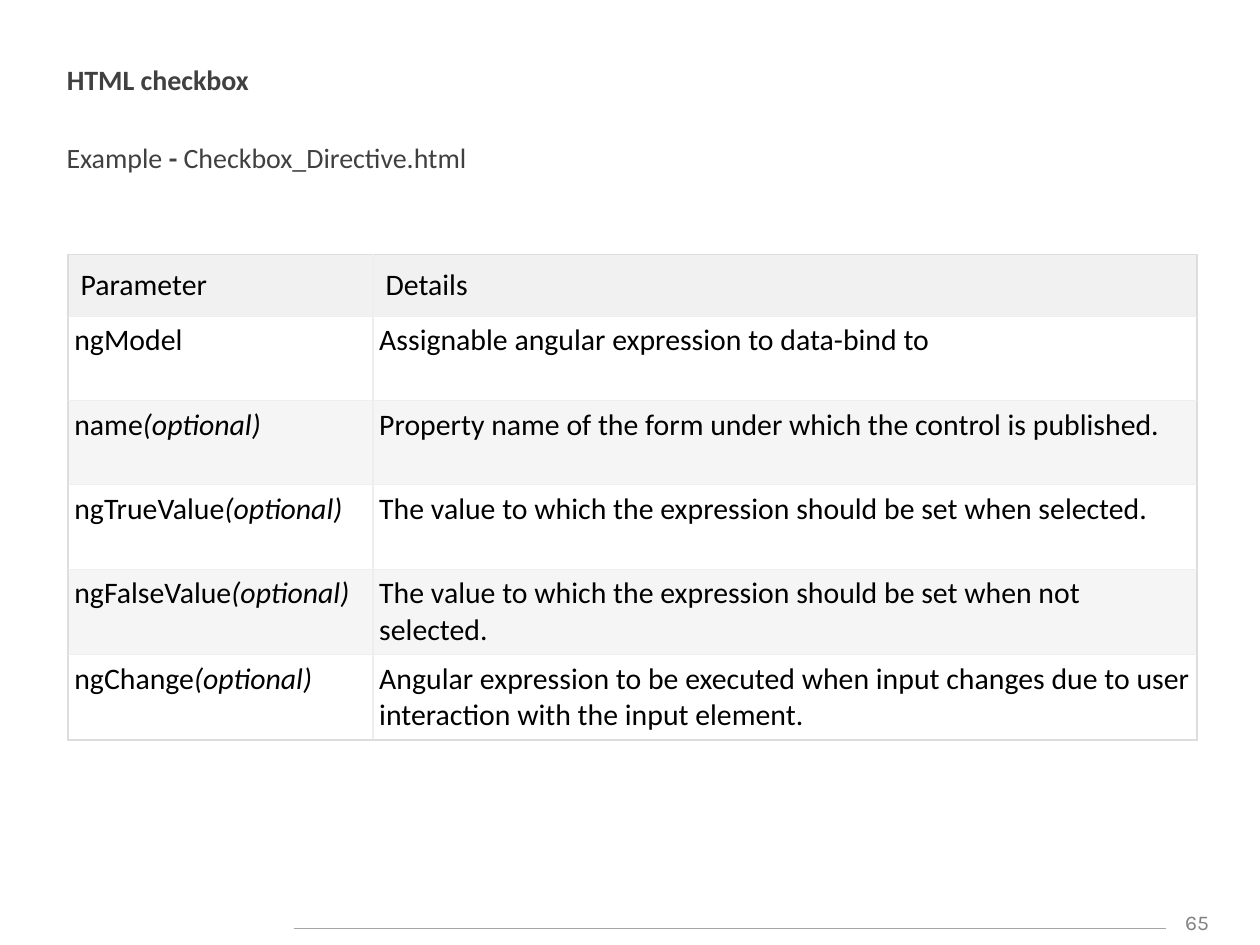
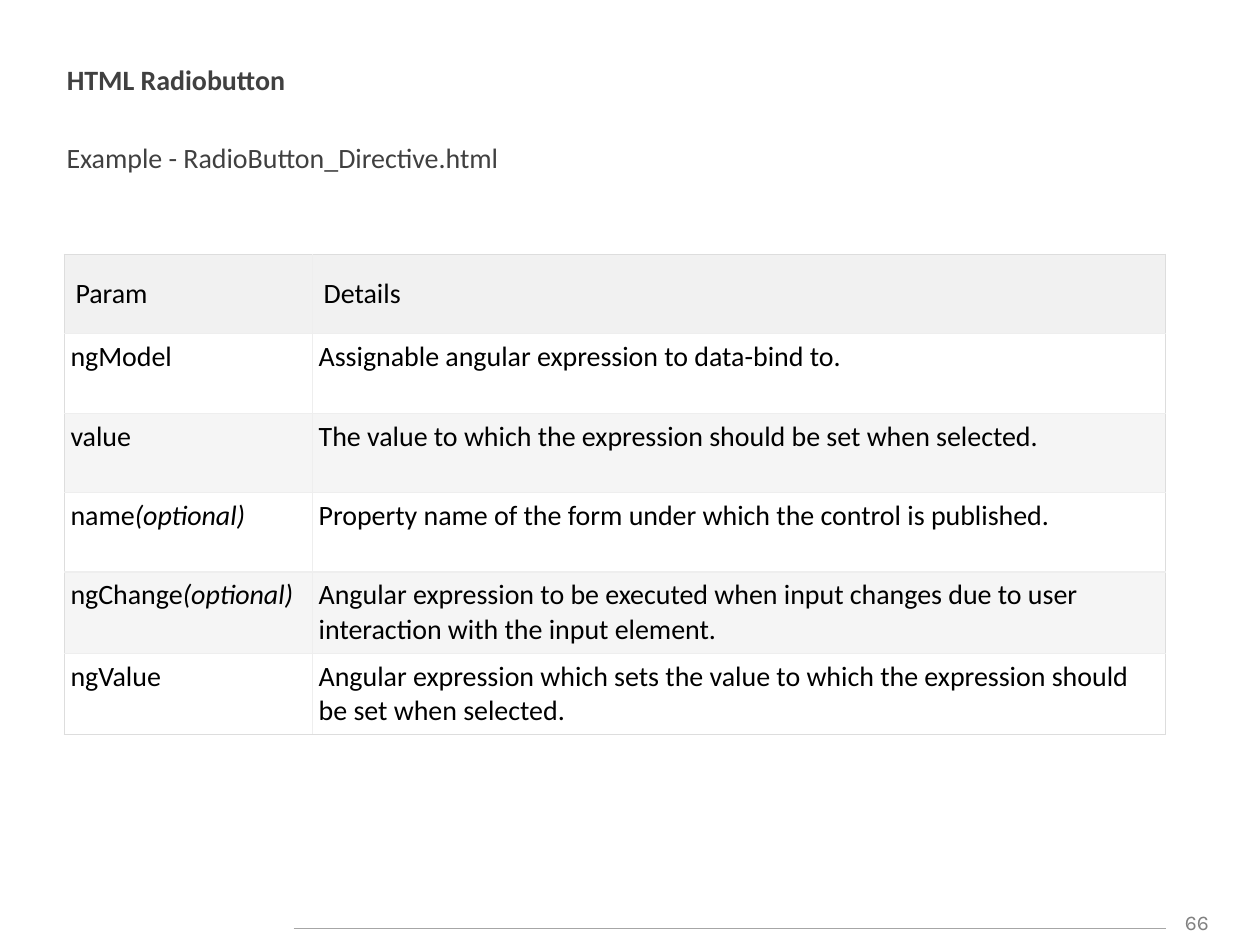
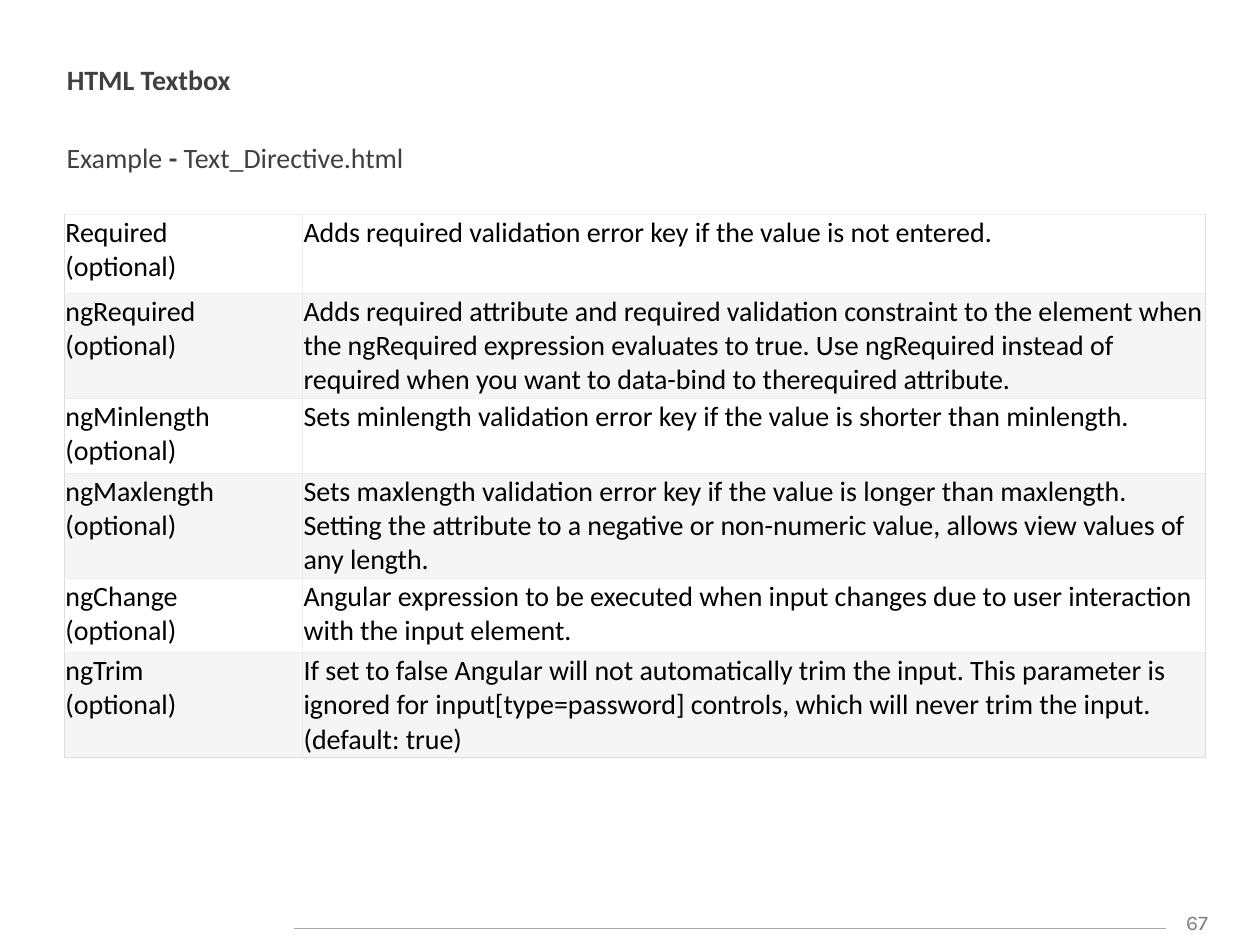
from dataclasses import dataclass

from lxml.etree import SubElement
from pptx import Presentation
from pptx.dml.color import RGBColor as Color
from pptx.enum.text import MSO_ANCHOR as Anchor, MSO_AUTO_SIZE as AutoSize, PP_ALIGN as Align
from pptx.enum.shapes import MSO_CONNECTOR as Connector
from pptx.oxml import parse_xml
from pptx.oxml.ns import nsdecls, qn
from pptx.util import Emu, Pt

EMU_PER_PX = 9144  # 100 px to the inch
PAGE_WIDTH, PAGE_HEIGHT = 1000, 750
TITLE_ONLY = 5
FIRST_PAGE_NUMBER = 65

COLORS = {
    "heading": "404040",
    "text": "000000",
    "number": "808080",
    "rule": "A6A6A6",
    "header": "F1F1F1",
    "plain": "FFFFFF",
    "band": "F5F5F5",
    "outer": "DDDDDD",
    "inner": "EEEEEE",
}
BODY_FONT, NUMBER_FONT = "Calibri", "Karla"
BORDER_SIDES = ("L", "R", "T", "B")


@dataclass(frozen=True)
class Box:
    left: int
    top: int
    width: int
    height: int

    def emu(self) -> list[Emu]:
        return [px(side) for side in (self.left, self.top, self.width, self.height)]


@dataclass(frozen=True)
class Span:
    text: str
    bold: bool = False
    italic: bool = False


@dataclass(frozen=True)
class Param:
    name: str
    details: tuple[str, ...]
    optional: bool = True


@dataclass(frozen=True)
class ParamTable:
    left: int
    top: int
    columns: tuple[int, int]
    heights: tuple[int, ...]
    params: tuple[Param, ...]
    inset: int
    size: int = 16
    header: tuple[str, ...] = ()
    header_inset: int = 0
    note_below: bool = False


@dataclass(frozen=True)
class Page:
    title: str
    example: tuple[Span, ...]
    table: ParamTable


TITLE_BOX = Box(43, 45, 940, 37)
EXAMPLE_BOX = Box(43, 107, 940, 37)
NUMBER_BOX = Box(925, 717, 50, 30)
RULE_LEFT, RULE_RIGHT, RULE_TOP = 233, 925, 737

EXECUTED = ("Angular expression to be executed when input changes due to user "
            "interaction with the input element.",)
PUBLISHED = ("Property name of the form under which the control is published.",)
SELECTED = ("The value to which the expression should be set when selected.",)

PAGES = (
    Page(
        "HTML checkbox",
        (Span("Example "), Span("- ", bold=True), Span("Checkbox_Directive.html")),
        ParamTable(
            left=54, top=202, columns=(242, 654), heights=(48,) + (67,) * 5,
            inset=5, size=17, header=("Parameter", "Details"), header_inset=10,
            params=(
                Param("ngModel", ("Assignable angular expression to data-bind to",), False),
                Param("name", PUBLISHED),
                Param("ngTrueValue", SELECTED),
                Param("ngFalseValue", (
                    "The value to which the expression should be set when not selected.",)),
                Param("ngChange", EXECUTED),
            ),
        ),
    ),
    Page(
        "HTML Radiobutton",
        (Span("Example - RadioButton_Directive.html"),),
        ParamTable(
            left=51, top=202, columns=(197, 677), heights=(63,) * 6,
            inset=5, header=("Param", "Details"), header_inset=9,
            params=(
                Param("ngModel", ("Assignable angular expression to data-bind to.",), False),
                Param("value", SELECTED, False),
                Param("name", PUBLISHED),
                Param("ngChange", EXECUTED),
                Param("ngValue", (
                    "Angular expression which sets the value to which the expression "
                    "should be set when selected.",), False),
            ),
        ),
    ),
    Page(
        "HTML Textbox",
        (Span("Example "), Span("- ", bold=True), Span("Text_Directive.html")),
        ParamTable(
            left=51, top=170, columns=(189, 717), heights=(63, 83, 59, 83, 59, 83),
            inset=1, note_below=True,
            params=(
                Param("Required", (
                    "Adds required validation error key if the value is not entered.",)),
                Param("ngRequired", (
                    "Adds required attribute and required validation constraint to the "
                    "element when the ngRequired expression evaluates to true. "
                    "Use ngRequired instead of required when you want to data-bind to "
                    "therequired attribute.",)),
                Param("ngMinlength", (
                    "Sets minlength validation error key if the value is shorter than "
                    "minlength.",)),
                Param("ngMaxlength", (
                    "Sets maxlength validation error key if the value is longer than "
                    "maxlength. Setting the attribute to a negative or non-numeric value, "
                    "allows view values of any length.",)),
                Param("ngChange", EXECUTED),
                Param("ngTrim", (
                    "If set to false Angular will not automatically trim the input. "
                    "This parameter is ignored for input[type=password] controls, which "
                    "will never trim the input.",
                    "(default: true)")),
            ),
        ),
    ),
)


def px(length: int) -> Emu:
    return Emu(length * EMU_PER_PX)


def set_all(target, values: dict) -> None:
    for name, value in values.items():
        setattr(target, name, value)


def write(frame, paragraphs, size: int, color: str, font: str = BODY_FONT,
          align: Align = Align.LEFT) -> None:
    """Fill a text frame with paragraphs, each a sequence of spans."""
    for index, spans in enumerate(paragraphs):
        para = frame.add_paragraph() if index else frame.paragraphs[0]
        set_all(para, {"alignment": align, "space_before": Pt(0)})
        for span in spans:
            run = para.add_run()
            run.text = span.text
            set_all(run.font, {"name": font, "size": Pt(size),
                               "bold": span.bold, "italic": span.italic})
            run.font.color.rgb = Color.from_string(COLORS[color])


def place_text(shape, box: Box, spans, size: int, color: str, **style) -> None:
    set_all(shape, dict(zip(("left", "top", "width", "height"), box.emu())))
    set_all(shape.text_frame, {
        "word_wrap": True, "auto_size": AutoSize.NONE, "vertical_anchor": Anchor.TOP,
        "margin_left": px(10), "margin_right": px(10),
        "margin_top": px(5), "margin_bottom": px(5),
    })
    write(shape.text_frame, [spans], size, color, **style)


def add_footer(slide, number: int) -> None:
    label = slide.shapes.add_textbox(*NUMBER_BOX.emu())
    place_text(label, NUMBER_BOX, [Span(str(number))], 12, "number",
               font=NUMBER_FONT, align=Align.CENTER)
    rule = slide.shapes.add_connector(Connector.STRAIGHT, px(RULE_LEFT), px(RULE_TOP),
                                      px(RULE_RIGHT), px(RULE_TOP))
    rule.line.width = Pt(0.75)
    rule.line.color.rgb = Color.from_string(COLORS["rule"])
    SubElement(rule.element.spPr, qn("a:effectLst"))


def set_borders(cell, outer_sides: set[str]) -> None:
    properties = cell._tc.get_or_add_tcPr()
    for index, side in enumerate(BORDER_SIDES):
        color = COLORS["outer" if side in outer_sides else "inner"]
        properties.insert(index, parse_xml(
            f'<a:ln{side} {nsdecls("a")} w="{Pt(0.75)}"><a:solidFill>'
            f'<a:srgbClr val="{color}"/></a:solidFill></a:ln{side}>'))


def name_paragraphs(param: Param, note_below: bool) -> list[list[Span]]:
    name = Span(param.name)
    if not param.optional:
        return [[name]]
    note = Span("(optional)", italic=not note_below)
    return [[name], [note]] if note_below else [[name, note]]


def table_rows(spec: ParamTable) -> list[tuple]:
    """Return each row as a pair of cells, each a list of paragraphs."""
    header = [tuple([[Span(label)]] for label in spec.header)] if spec.header else []
    return header + [
        (name_paragraphs(param, spec.note_below), [[Span(text)] for text in param.details])
        for param in spec.params
    ]


def add_param_table(slide, spec: ParamTable) -> None:
    rows = table_rows(spec)
    box = Box(spec.left, spec.top, sum(spec.columns), sum(spec.heights))
    table = slide.shapes.add_table(len(rows), len(spec.columns), *box.emu()).table
    set_all(table, {"first_row": False, "horz_banding": False})
    for column, width in zip(table.columns, spec.columns):
        column.width = px(width)
    for row_index, (row, height, contents) in enumerate(zip(table.rows, spec.heights, rows)):
        row.height = px(height)
        is_header = bool(spec.header) and row_index == 0
        banded = (row_index - bool(spec.header)) % 2 == 1
        fill = "header" if is_header else "band" if banded else "plain"
        inset = px(spec.header_inset if is_header else spec.inset)
        for column_index, (cell, paragraphs) in enumerate(zip(row.cells, contents)):
            set_all(cell, {f"margin_{side}": inset
                           for side in ("left", "right", "top", "bottom")})
            cell.vertical_anchor = Anchor.MIDDLE if is_header else Anchor.TOP
            cell.fill.solid()
            cell.fill.fore_color.rgb = Color.from_string(COLORS[fill])
            outer_sides = {"R" if column_index else "L"}
            if is_header:
                outer_sides.add("T")
            if row_index == len(rows) - 1:
                outer_sides.add("B")
            set_borders(cell, outer_sides)
            write(cell.text_frame, paragraphs, spec.size, "text")


def add_page(deck, page: Page, number: int) -> None:
    slide = deck.slides.add_slide(deck.slide_layouts[TITLE_ONLY])
    add_footer(slide, number)
    place_text(slide.shapes.title, TITLE_BOX, [Span(page.title, bold=True)], 16, "heading")
    example = slide.shapes.add_textbox(*EXAMPLE_BOX.emu())
    place_text(example, EXAMPLE_BOX, page.example, 16, "heading")
    add_param_table(slide, page.table)


def main() -> None:
    deck = Presentation()
    set_all(deck, {"slide_width": px(PAGE_WIDTH), "slide_height": px(PAGE_HEIGHT)})
    for number, page in enumerate(PAGES, FIRST_PAGE_NUMBER):
        add_page(deck, page, number)
    deck.save("out.pptx")


if __name__ == "__main__":
    main()
